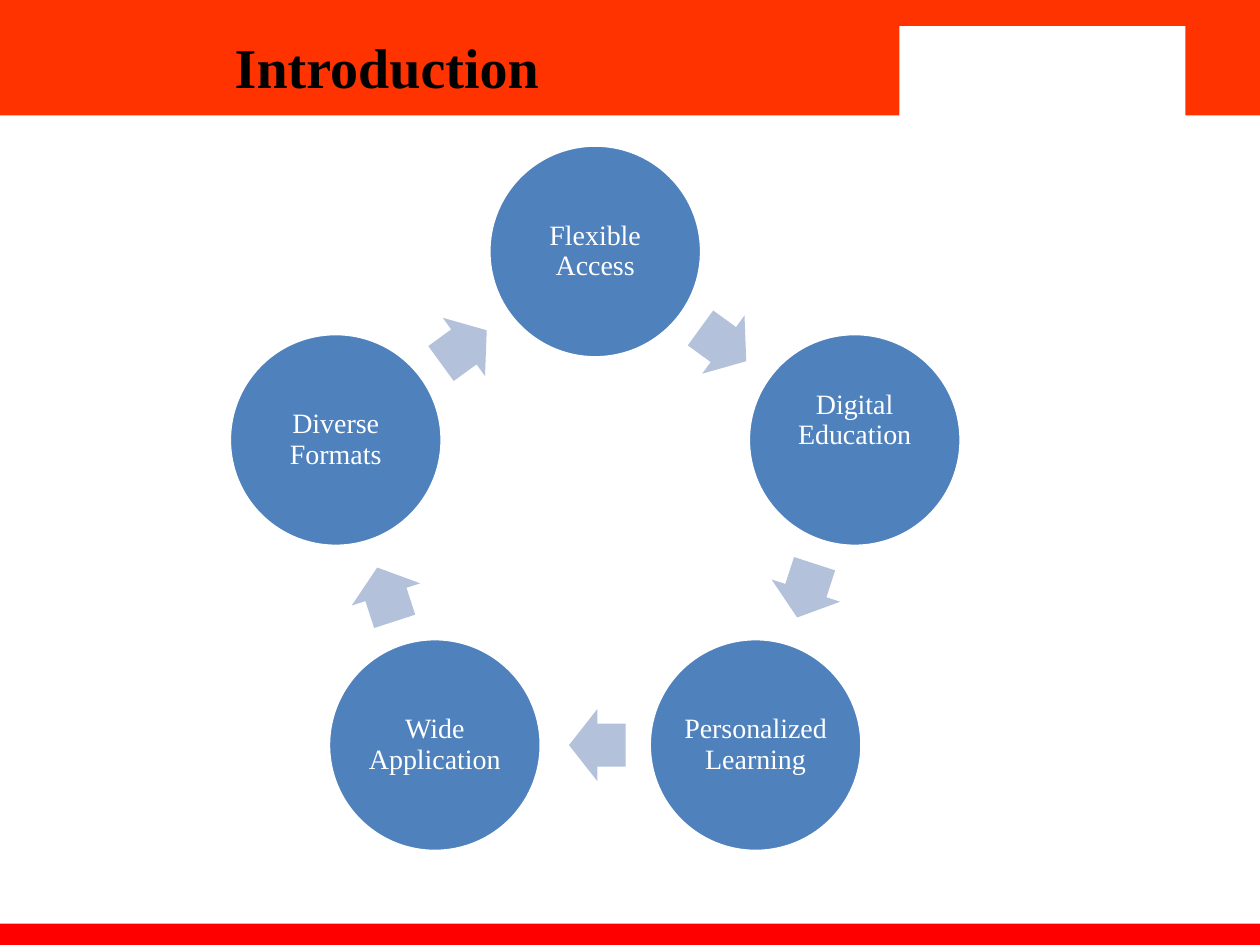
from math import cos, radians, sin
from pptx import Presentation
from pptx.dml.color import RGBColor
from pptx.enum.shapes import MSO_SHAPE
from pptx.enum.text import MSO_ANCHOR, MSO_AUTO_SIZE, PP_ALIGN
from pptx.util import Cm, Pt

RECT, OVAL, ARROW = MSO_SHAPE.RECTANGLE, MSO_SHAPE.OVAL, MSO_SHAPE.RIGHT_ARROW
MIDDLE, CENTER, GROW = MSO_ANCHOR.MIDDLE, PP_ALIGN.CENTER, MSO_AUTO_SIZE.SHAPE_TO_FIT_TEXT
FONT = "Times New Roman"


def paint(fill, color):
    fill.solid()
    fill.fore_color.rgb = RGBColor.from_string(color)


def draw(kind, left, top, width, height, color):
    shape = slide.shapes.add_shape(kind, Cm(left), Cm(top), Cm(width), Cm(height))
    shape.shadow.inherit = False
    shape.line.fill.background()
    paint(shape.fill, color)
    return shape


deck = Presentation()
deck.slide_width, deck.slide_height = Cm(25.4), Cm(19.05)
slide = deck.slides.add_slide(deck.slide_layouts[6])

draw(RECT, 0, 0, 25.4, 2.33, "FF3300")
draw(RECT, 0, 18.62, 25.4, 0.56, "FF0000")
draw(RECT, 18.13, 0.53, 5.77, 1.9, "FFFFFF")

title = slide.shapes.add_textbox(Cm(0.3), Cm(0.53), Cm(15), Cm(1.63))
frame = title.text_frame
frame.word_wrap = True
frame.auto_size = GROW
para = frame.paragraphs[0]
para.alignment = CENTER
run = para.add_run()
run.text = "Introduction"
run.font.name, run.font.size, run.font.bold = FONT, Pt(32), True
paint(run.font.fill, "000000")

mid_x, mid_y, radius, size = 12, 10.57, 5.5, 4.29
long, wide, back = 1.14, 1.45, 0.04
inset, lift = 0.05, 0.8
steps = [
    ("Flexible Access", 0),
    ("Digital Education", lift),
    ("Personalized Learning", 0),
    ("Wide Application", 0),
    ("Diverse Formats", 0),
]
turn = 360 / len(steps)

for i, (label, extra) in enumerate(steps):
    angle = radians(i * turn)
    x = mid_x + radius * sin(angle)
    y = mid_y - radius * cos(angle)
    disc = draw(OVAL, x - size / 2, y - size / 2, size, size, "4F81BD")
    paint(disc.line.fill, "FFFFFF")
    disc.line.width = Pt(2)
    frame = disc.text_frame
    frame.word_wrap = True
    frame.vertical_anchor = MIDDLE
    frame.margin_left = frame.margin_right = frame.margin_top = Cm(inset)
    frame.margin_bottom = Cm(inset + extra)
    para = frame.paragraphs[0]
    para.alignment, para.line_spacing = CENTER, 0.9
    run = para.add_run()
    run.text = label
    run.font.name, run.font.size = FONT, Pt(16)
    paint(run.font.fill, "FFFFFF")

    tilt = (i + 0.5) * turn
    angle = radians(tilt)
    reach = radius * cos(radians(turn / 2))
    x = mid_x + reach * sin(angle) - back * cos(angle)
    y = mid_y - reach * cos(angle) - back * sin(angle)
    arrow = draw(ARROW, x - long / 2, y - wide / 2, long, wide, "B3C1DB")
    arrow.rotation = tilt
    arrow.adjustments[0], arrow.adjustments[1] = 0.6, 0.5

deck.save("out.pptx")
